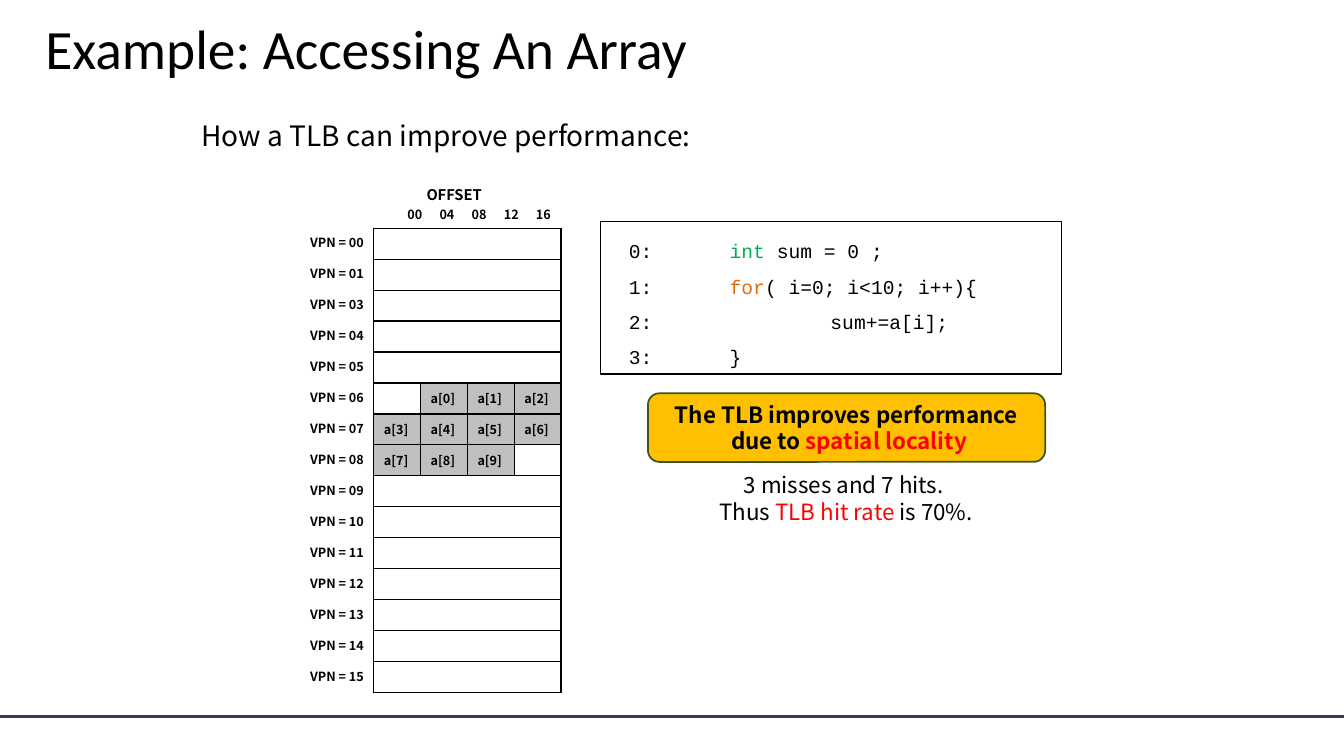
"""Build the slide on accessing an array through a TLB."""
from lxml.etree import SubElement
from pptx import Presentation
from pptx.dml.color import RGBColor
from pptx.enum.shapes import MSO_CONNECTOR, MSO_SHAPE
from pptx.enum.text import MSO_ANCHOR, PP_ALIGN
from pptx.oxml.ns import qn
from pptx.util import Cm, Pt

BLACK = RGBColor(0x00, 0x00, 0x00)
WHITE = RGBColor(0xFF, 0xFF, 0xFF)
GREY = RGBColor(0xBF, 0xBF, 0xBF)
SLATE = RGBColor(0x33, 0x3F, 0x50)
GREEN = RGBColor(0x00, 0xB0, 0x50)
DARK_GREEN = RGBColor(0x38, 0x57, 0x23)
ORANGE = RGBColor(0xE4, 0x6C, 0x0A)
AMBER = RGBColor(0xFF, 0xC0, 0x00)
RED = RGBColor(0xFF, 0x00, 0x00)
NO_STYLE = "{2D5ABB26-0587-4C30-8999-92F81FD0307C}"


def write(frame, *runs, size, font="Noto Sans CJK KR", bold=False,
          align=PP_ALIGN.LEFT, spacing=None, tabs=(), tab_align="ctr"):
    """Add one paragraph of (text, color) runs to a text frame."""
    paragraph = frame.add_paragraph() if frame.text else frame.paragraphs[0]
    paragraph.alignment = align
    paragraph.line_spacing = spacing
    for text, color in runs:
        run = paragraph.add_run()
        run.text = text
        run.font.size = Pt(size)
        run.font.name = font
        run.font.bold = bold
        run.font.color.rgb = color
    if not runs:
        SubElement(paragraph._p, qn("a:endParaRPr"), sz=str(size * 100))
    if tabs:
        tab_list = SubElement(paragraph._p.get_or_add_pPr(), qn("a:tabLst"))
        for position in tabs:
            SubElement(tab_list, qn("a:tab"), pos=str(Cm(position)), algn=tab_align)


def set_borders(cell, **colors):
    """Draw 1 pt cell borders; sides are L, R, T and B."""
    properties = cell._tc.get_or_add_tcPr()
    for side, color in colors.items():
        line = SubElement(properties, qn(f"a:ln{side}"), w=str(Pt(1)))
        fill = SubElement(line, qn("a:solidFill"))
        SubElement(fill, qn("a:srgbClr"), val=str(color))


presentation = Presentation()
presentation.slide_width = Cm(33.87)
presentation.slide_height = Cm(19.05)
slide = presentation.slides.add_slide(presentation.slide_layouts[5])
shapes = slide.shapes

title = shapes.title
title.left, title.top, title.width, title.height = Cm(0.89), Cm(0.48), Cm(24.41), Cm(1.63)
title.text_frame.vertical_anchor = MSO_ANCHOR.MIDDLE
write(title.text_frame, ("Example: Accessing An Array", BLACK), size=39.6, font="Calibri", spacing=0.9)

footer_line = shapes.add_connector(MSO_CONNECTOR.STRAIGHT, Cm(0), Cm(18.06), Cm(33.87), Cm(18.06))
footer_line.line.color.rgb = SLATE
footer_line.line.width = Pt(2)
SubElement(footer_line._element.spPr, qn("a:effectLst"))

intro = shapes.add_textbox(Cm(4.83), Cm(2.44), Cm(24.41), Cm(15.29))
intro.text_frame.word_wrap = True
write(intro.text_frame, ("How a TLB can improve performance:", BLACK), size=20, spacing=1.5)

pages = ["00", "01", "03", "04", "05", "06", "07", "08", "09", "10", "11", "12", "13", "14", "15"]
array_cells = {("06", 2 + i) if i < 3 else ("07", i - 2) if i < 7 else ("08", i - 6): f"a[{i}]"
               for i in range(10)}
array_pages = {page for page, column in array_cells}

frame = shapes.add_table(len(pages) + 1, 5, Cm(7.34), Cm(4.5), Cm(6.8), Cm(12.95))
table = frame.table
table._tbl.tblPr.find(qn("a:tableStyleId")).text = NO_STYLE
table.first_row = table.horz_banding = False
for column, width in zip(table.columns, [2.08] + [1.18] * 4):
    column.width = Cm(width)
for row, height in zip(table.rows, [1.25] + [0.78] * len(pages)):
    row.height = Cm(height)

header = table.cell(0, 0)
header.merge(table.cell(0, 4))
header.fill.background()
write(header.text_frame, ("\tOFFSET", BLACK), size=10.5, bold=True, tabs=[3.85])
write(header.text_frame, ("\t00\t04\t08\t12\t16", BLACK), size=9, bold=True,
      tabs=[2.86 + 0.81 * i for i in range(5)])

for row, page in enumerate(pages, start=1):
    label = table.cell(row, 0)
    set_borders(label, L=WHITE, R=BLACK, **({"T": WHITE} if row > 1 else {}), B=WHITE)
    label.fill.background()
    write(label.text_frame, (f"VPN = {page}", BLACK), size=9, bold=True, align=PP_ALIGN.RIGHT)
    if page not in array_pages:
        table.cell(row, 1).merge(table.cell(row, 4))
    for column in range(1, 5):
        cell = table.cell(row, column)
        set_borders(cell, L=BLACK, R=BLACK, T=BLACK, B=BLACK)
        cell.fill.background()
        if (page, column) in array_cells:
            cell.fill.solid()
            cell.fill.fore_color.rgb = GREY
            cell.vertical_anchor = MSO_ANCHOR.MIDDLE
            write(cell.text_frame, (array_cells[page, column], BLACK), size=9, bold=True)
        else:
            write(cell.text_frame, size=9)

code_lines = [
    [("0:\t", BLACK), ("int ", GREEN), ("sum = 0 ;", BLACK)],
    [("1:\t", BLACK), ("for", ORANGE), ("( i=0; i<10; i++){", BLACK)],
    [("2:\t\tsum+=a[i];", BLACK)],
    [("3:\t}", BLACK)],
]
result_lines = [
    [("3 misses and 7 hits. ", BLACK)],
    [("Thus ", BLACK), ("TLB hit rate ", RED), ("is 70%.", BLACK)],
]
locality_lines = [
    [("The TLB improves performance", BLACK)],
    [(" due to ", BLACK), ("spatial locality", RED)],
]
code_format = dict(size=14, font="Courier New", spacing=1.5, tabs=[2.54, 5.08], tab_align="l")
result_format = dict(size=16, align=PP_ALIGN.CENTER)
boxes = [
    (MSO_SHAPE.RECTANGLE, (15.14, 5.59, 11.61, 3.84), WHITE, BLACK, 1, 0.71, code_lines, code_format),
    (MSO_SHAPE.ROUNDED_RECTANGLE, (17.63, 11.68, 7.39, 1.73), None, None, 0, 0.3,
     result_lines, result_format),
    (MSO_SHAPE.ROUNDED_RECTANGLE, (16.33, 9.91, 10.01, 1.73), AMBER, DARK_GREEN, 1.25, 0.3,
     locality_lines, dict(result_format, bold=True)),
]
for kind, bounds, fill, outline, weight, inset, lines, text_format in boxes:
    box = shapes.add_shape(kind, *map(Cm, bounds))
    box.shadow.inherit = False
    if fill is None:
        box.fill.background()
        box.line.fill.background()
    else:
        box.fill.solid()
        box.fill.fore_color.rgb = fill
        box.line.color.rgb = outline
        box.line.width = Pt(weight)
    text_frame = box.text_frame
    text_frame.word_wrap = True
    text_frame.vertical_anchor = MSO_ANCHOR.MIDDLE
    text_frame.margin_left = Cm(inset)
    text_frame.margin_right = Cm(0.3)
    for runs in lines:
        write(text_frame, *runs, **text_format)

presentation.save("out.pptx")
